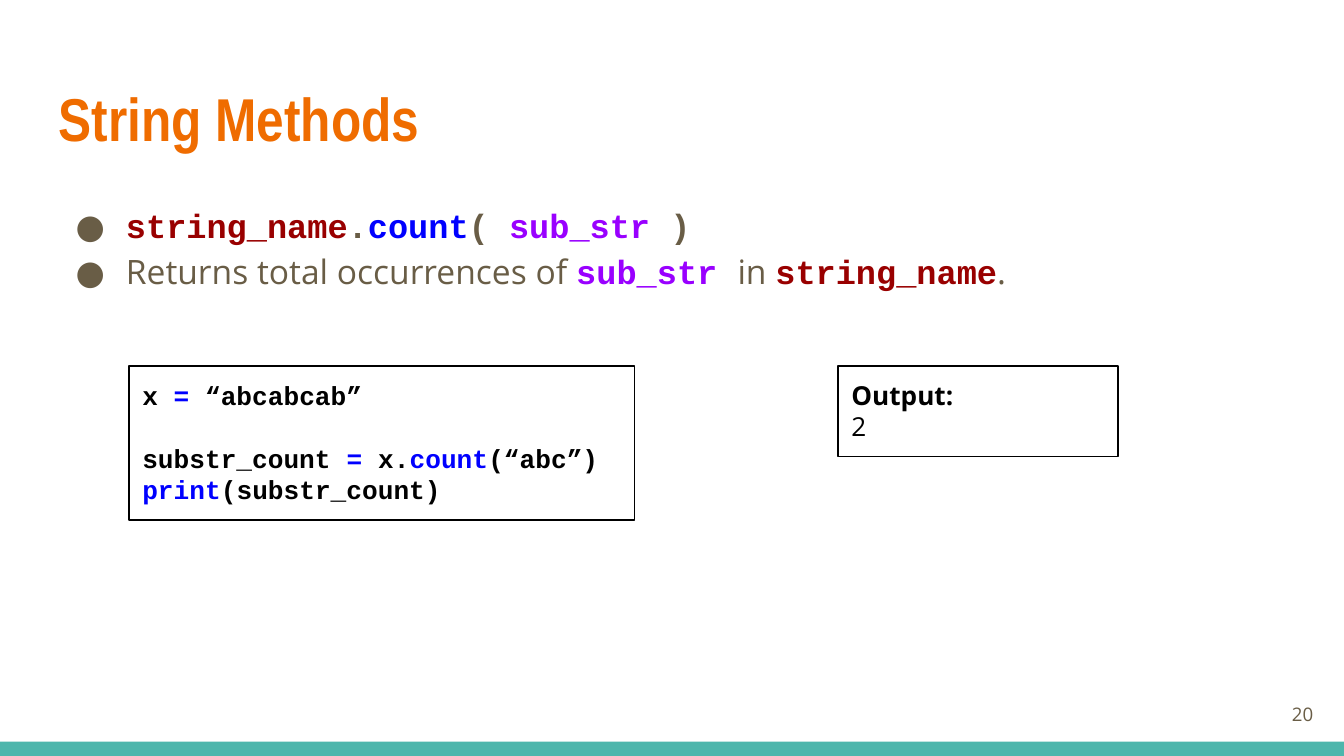
from lxml.etree import SubElement
from pptx import Presentation
from pptx.dml.color import RGBColor
from pptx.enum.shapes import MSO_SHAPE
from pptx.enum.text import MSO_ANCHOR, MSO_AUTO_SIZE, PP_ALIGN
from pptx.oxml.ns import qn
from pptx.util import Cm, Pt

ORANGE = RGBColor(0xEF, 0x6C, 0x00)
TEAL = RGBColor(0x4D, 0xB6, 0xAC)
BROWN = RGBColor(0x69, 0x5D, 0x46)
RED = RGBColor(0x99, 0x00, 0x00)
BLUE = RGBColor(0x00, 0x00, 0xFF)
PURPLE = RGBColor(0x99, 0x00, 0xFF)
BLACK = RGBColor(0x00, 0x00, 0x00)

HEADING = "Arial Narrow"
CODE = "Courier New"
PROSE = "Open Sans"


def write(paragraph, text, *, color, size, font=CODE, bold=True):
    """Append one formatted run to a paragraph."""
    run = paragraph.add_run()
    run.text = text
    run.font.name = font
    run.font.size = Pt(size)
    run.font.bold = bold
    run.font.color.rgb = color


def write_lines(frame, lines, size):
    """Fill a frame with lines of (text, format) pieces and return its paragraphs."""
    for number, line in enumerate(lines):
        paragraph = frame.add_paragraph() if number else frame.paragraphs[0]
        paragraph.alignment = PP_ALIGN.LEFT
        for text, style in line:
            write(paragraph, text, size=size, **style)
    return frame.paragraphs


def set_frame(frame, anchor=MSO_ANCHOR.TOP):
    """Give a text frame equal insets, wrapping and an anchor."""
    frame.margin_left = frame.margin_right = Cm(0.25)
    frame.margin_top = frame.margin_bottom = Cm(0.25)
    frame.word_wrap = True
    frame.auto_size = MSO_AUTO_SIZE.NONE
    frame.vertical_anchor = anchor


def place(shape, left, top, width, height):
    """Move and size a shape in centimetres."""
    shape.left, shape.top = Cm(left), Cm(top)
    shape.width, shape.height = Cm(width), Cm(height)


def add_bullet(paragraph):
    """Turn a paragraph into a round-bulleted list item."""
    paragraph.line_spacing = 1.15
    paragraph.space_before = Pt(0)
    properties = paragraph._p.get_or_add_pPr()
    properties.set("marL", str(Cm(1.27)))
    properties.set("indent", str(-Cm(0.95)))
    bullet_color = SubElement(properties, qn("a:buClr"))
    SubElement(bullet_color, qn("a:srgbClr"), val=str(BROWN))
    SubElement(properties, qn("a:buFont"), typeface=PROSE)
    SubElement(properties, qn("a:buChar"), char="●")


def add_rectangle(slide, left, top, width, height, fill=None):
    """Add a solid rectangle, or an outlined one when no fill is given."""
    rectangle = slide.shapes.add_shape(
        MSO_SHAPE.RECTANGLE, Cm(left), Cm(top), Cm(width), Cm(height))
    rectangle.shadow.inherit = False
    if fill is None:
        rectangle.fill.background()
        rectangle.line.color.rgb = BLACK
        rectangle.line.width = Pt(0.75)
    else:
        rectangle.fill.solid()
        rectangle.fill.fore_color.rgb = fill
        rectangle.line.fill.background()
    return rectangle


def add_panel(slide, left, top, width, height, lines):
    """Add an outlined panel of text and return its paragraphs."""
    panel = add_rectangle(slide, left, top, width, height)
    set_frame(panel.text_frame)
    panel.text_frame.auto_size = MSO_AUTO_SIZE.SHAPE_TO_FIT_TEXT
    return write_lines(panel.text_frame, lines, 14)


def add_page_number(slide, number):
    """Add the page number at the lower right."""
    page = slide.shapes.add_textbox(Cm(23.55), Cm(12.95), Cm(1.52), Cm(1.09))
    set_frame(page.text_frame, MSO_ANCHOR.MIDDLE)
    paragraph = page.text_frame.paragraphs[0]
    paragraph.alignment = PP_ALIGN.RIGHT
    write(paragraph, number, color=BROWN, size=10, font=PROSE, bold=False)


def main():
    """Build the slide on the string count method."""
    presentation = Presentation()
    presentation.slide_width, presentation.slide_height = Cm(25.4), Cm(14.29)
    slide = presentation.slides.add_slide(presentation.slide_layouts[1])

    plain = dict(color=BROWN, font=PROSE, bold=False)
    punctuation = dict(color=BROWN)
    owner = dict(color=RED)
    argument = dict(color=PURPLE)
    keyword = dict(color=BLUE)
    code = dict(color=BLACK)

    add_rectangle(slide, 0, 14.02, 25.4, 0.27, TEAL)

    title = slide.shapes.title
    place(title, 0.86, 1.24, 23.67, 1.96)
    set_frame(title.text_frame, MSO_ANCHOR.MIDDLE)
    write_lines(title.text_frame,
                [[("String Methods", dict(color=ORANGE, font=HEADING))]], 32.4)

    body = slide.placeholders[1]
    place(body, 0.86, 3.51, 23.67, 9.17)
    set_frame(body.text_frame)
    points = write_lines(body.text_frame, [
        [("string_name", owner), (".", punctuation), ("count", keyword),
         ("( ", punctuation), ("sub_str ", argument), (")", punctuation)],
        [("Returns total occurrences of ", plain), ("sub_str ", argument),
         ("in ", plain), ("string_name", owner), (".", plain)],
    ], 18)
    for point in points:
        add_bullet(point)

    add_page_number(slide, "20")

    program = add_panel(slide, 2.44, 6.92, 9.55, 2.91, [
        [("x ", code), ("=", keyword), (" “abcabcab”", code)],
        [("substr_count ", code), ("=", keyword), (" x.", code),
         ("count", keyword), ("(“abc”)", code)],
        [("print", keyword), ("(substr_count)", code)],
    ])
    program[1].space_before = Pt(16.8)

    add_panel(slide, 15.84, 6.92, 5.29, 1.71, [
        [("Output:", dict(color=BLACK, font=PROSE))],
        [("2", dict(color=BLACK, font=PROSE, bold=False))],
    ])

    presentation.save("out.pptx")


if __name__ == "__main__":
    main()
